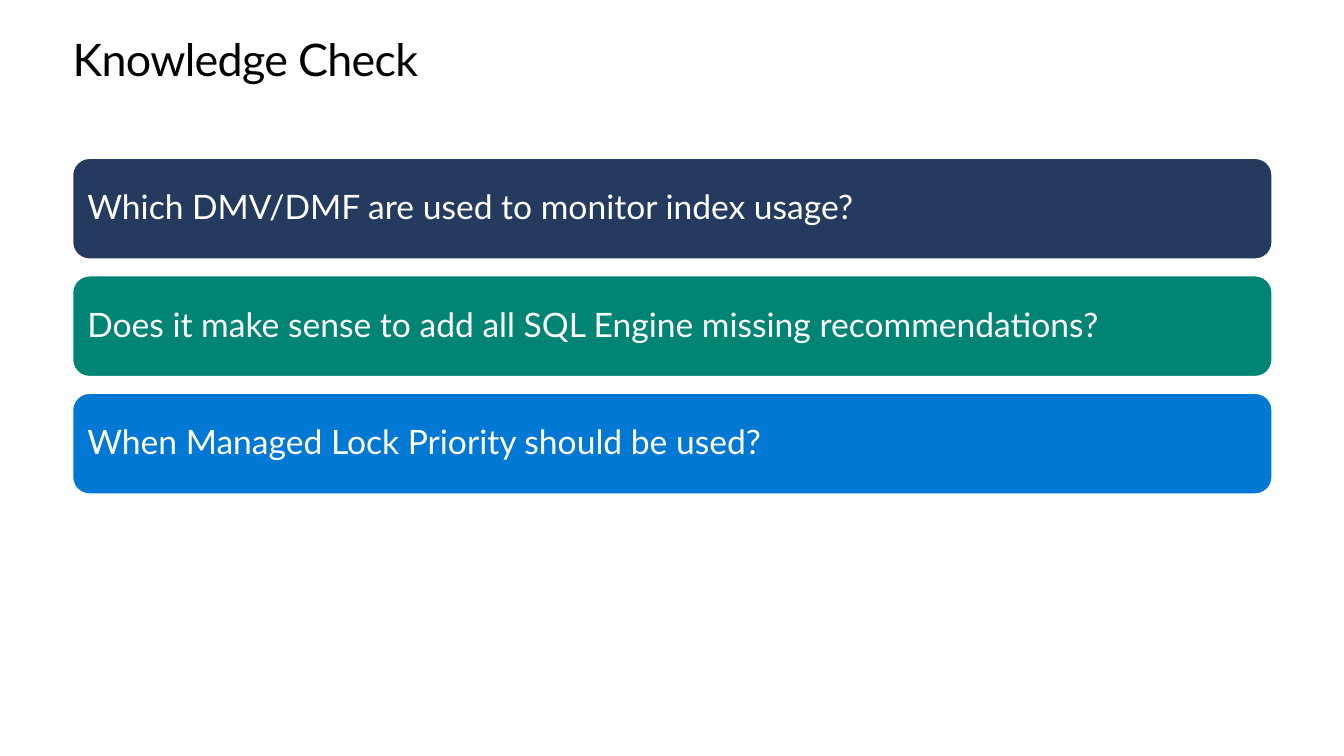
from pptx import Presentation
from pptx.dml.color import RGBColor
from pptx.enum.shapes import MSO_SHAPE
from pptx.enum.text import MSO_ANCHOR, PP_ALIGN
from pptx.util import Cm, Pt

NAVY = RGBColor(0x24, 0x3A, 0x5E)
TEAL = RGBColor(0x00, 0x85, 0x75)
BLUE = RGBColor(0x00, 0x78, 0xD4)
WHITE = RGBColor(0xFF, 0xFF, 0xFF)
BLACK = RGBColor(0x00, 0x00, 0x00)
FONT = "Lato"

HEADING = "Knowledge Check"
QUESTIONS = [
    ("Which DMV/DMF are used to monitor index usage?", NAVY),
    ("Does it make sense to add all SQL Engine missing recommendations?", TEAL),
    ("When Managed Lock Priority should be used?", BLUE),
]

LEFT, WIDTH = Cm(1.83), Cm(30.23)
HEADING_TOP, HEADING_HEIGHT = Cm(0.89), Cm(1.27)
BARS_TOP, BAR_HEIGHT, BAR_GAP = Cm(3.99), Cm(2.54), Cm(0.42)
BAR_INSET = Cm(0.25)


def write_line(frame, text, size, color, line_spacing, inset):
    """Fill a text frame with one left-aligned line and return its run."""
    frame.word_wrap = True
    frame.margin_left = frame.margin_right = inset
    frame.margin_top = frame.margin_bottom = inset
    paragraph = frame.paragraphs[0]
    paragraph.alignment = PP_ALIGN.LEFT
    paragraph.line_spacing = line_spacing
    run = paragraph.add_run()
    run.text = text
    run.font.name = FONT
    run.font.size = Pt(size)
    run.font.color.rgb = color
    return run


def add_heading(slide):
    heading = slide.shapes.add_textbox(LEFT, HEADING_TOP, WIDTH, HEADING_HEIGHT)
    run = write_line(heading.text_frame, HEADING, 32, BLACK, Pt(36.2), 0)
    run.font._element.set("spc", "-50")


def add_question_bar(slide, top, question, color):
    bar = slide.shapes.add_shape(
        MSO_SHAPE.ROUNDED_RECTANGLE, LEFT, top, WIDTH, BAR_HEIGHT)
    bar.shadow.inherit = False
    bar.fill.solid()
    bar.fill.fore_color.rgb = color
    bar.line.color.rgb = WHITE
    bar.line.width = Pt(1)
    bar.text_frame.vertical_anchor = MSO_ANCHOR.MIDDLE
    write_line(bar.text_frame, question, 24, WHITE, 0.9, BAR_INSET)


def main():
    deck = Presentation()
    deck.slide_width, deck.slide_height = Cm(33.87), Cm(19.05)
    slide = deck.slides.add_slide(deck.slide_layouts[6])
    add_heading(slide)
    for row, (question, color) in enumerate(QUESTIONS):
        top = BARS_TOP + row * (BAR_HEIGHT + BAR_GAP)
        add_question_bar(slide, top, question, color)
    deck.save("out.pptx")


if __name__ == "__main__":
    main()
